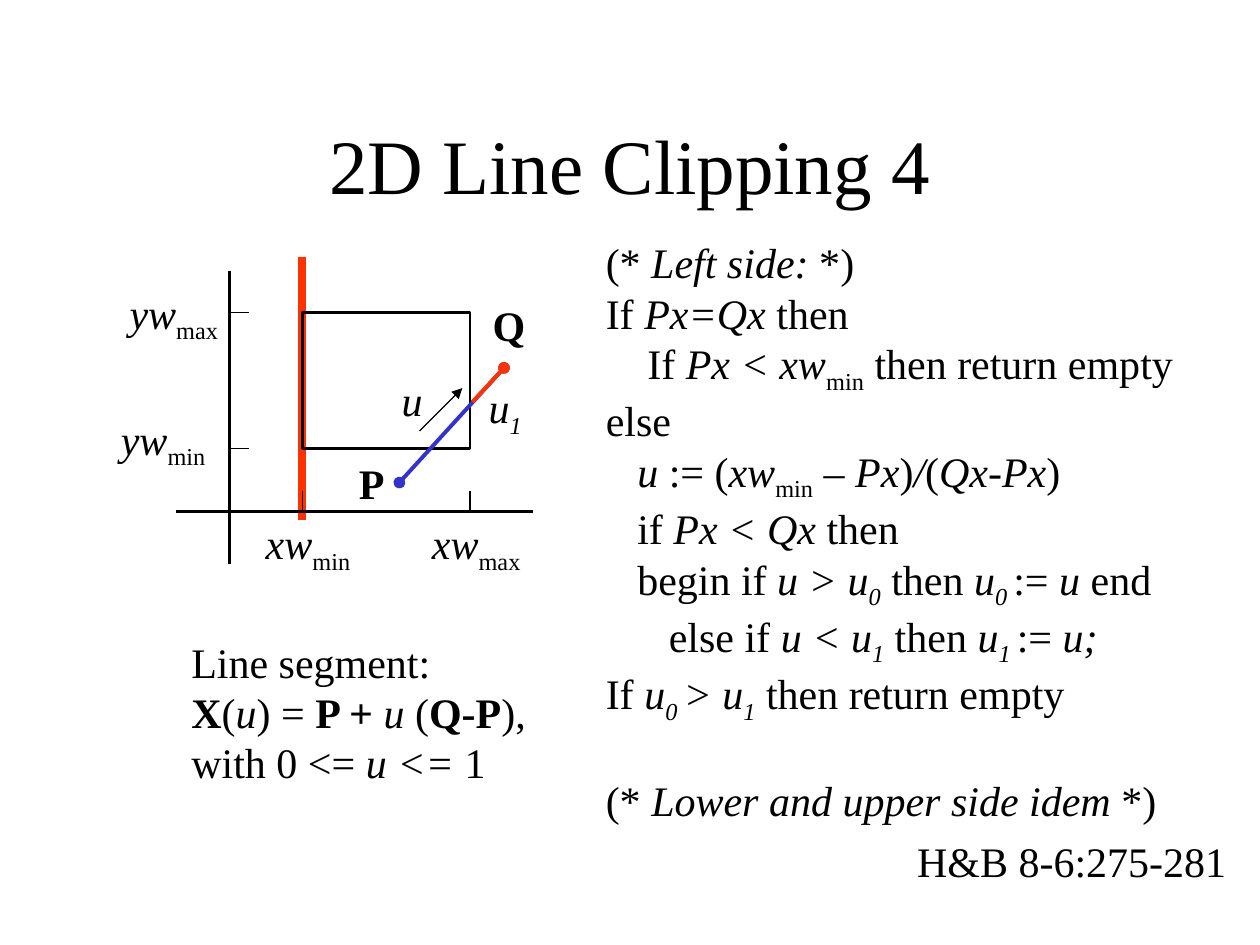
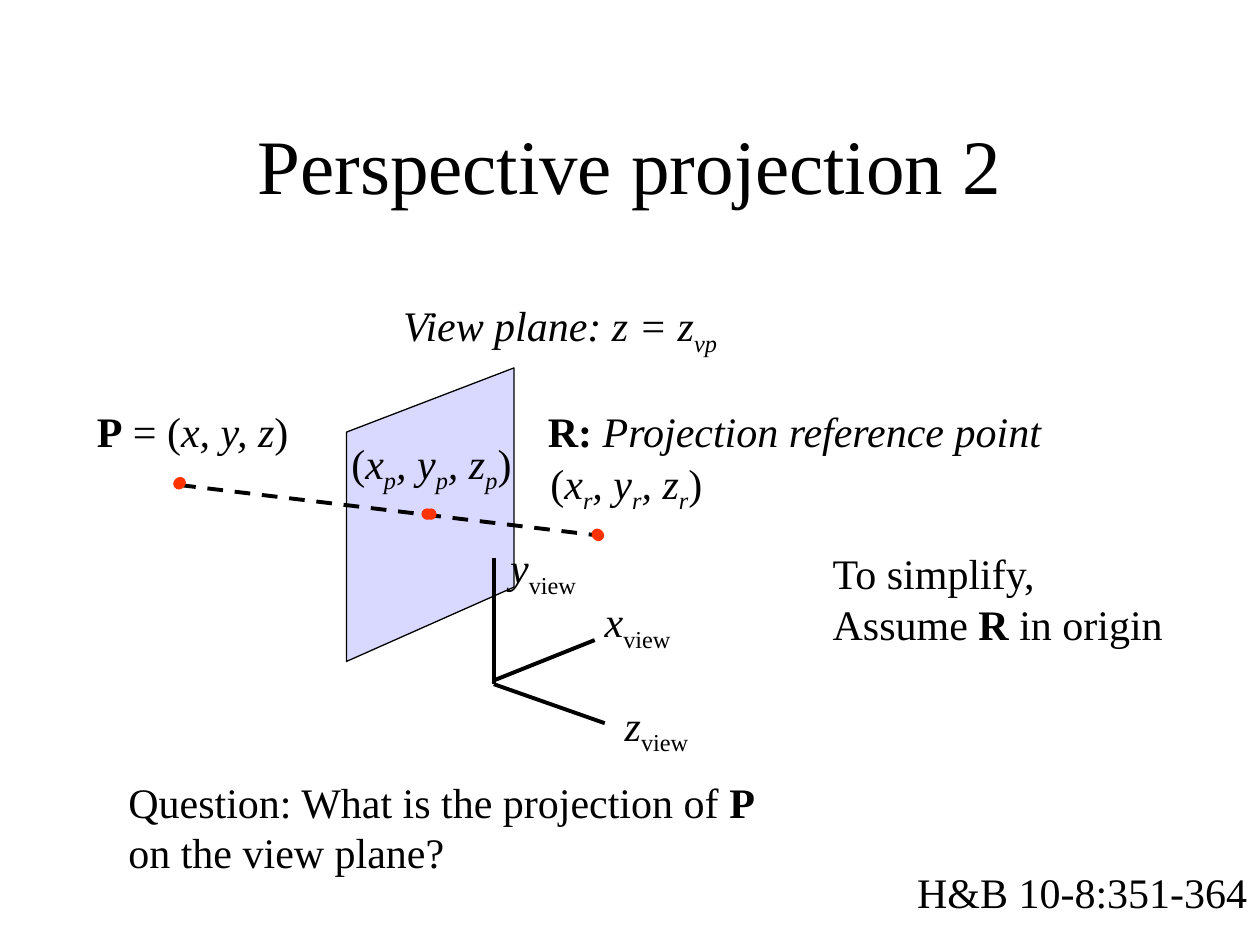
from lxml import etree
from pptx import Presentation
from pptx.dml.color import RGBColor
from pptx.enum.dml import MSO_LINE_DASH_STYLE as Dash
from pptx.enum.shapes import MSO_CONNECTOR as Connector, MSO_SHAPE as Shape
from pptx.enum.text import MSO_ANCHOR as Anchor, PP_ALIGN as Align
from pptx.oxml.ns import qn
from pptx.util import Inches, Pt

COLORS = {"ink": "000000", "red": "FF3300", "blue": "3333CC", "plane": "D9D9FF"}
FONT = "Times New Roman"
TITLE_BOX = (0.75, 0.67, 8.5, 1.25)
LINE_HEIGHT, SUBSCRIPT_EXTRA, INSET = 0.4, 0.06, 0.05
DOT = 0.08


# Text styles: a plain string is regular, a pair is (text, style letters)
def i(text):
    return text, "i"


def b(text):
    return text, "b"


def sub(text):
    return text, "s"


def isub(text):
    return text, "is"


def triple(index):
    return ["(", i("x"), isub(index), i(", y"), isub(index), i(", z"), isub(index), ")"]


# Slide 1 content: window limits and end points in slide inches
X_MIN, X_MAX, Y_MAX, Y_MIN = 2.4, 3.73, 2.48, 3.56
AXIS_X, AXIS_Y, TICK = 1.82, 4.06, 0.16
P, Q, EXIT = (3.17, 3.83), (4, 2.92), (3.75, 3.19)

# Each pseudocode line: indent in inches, space before in points, runs
PSEUDOCODE = [
    (0, 0, ["(*", i(" Left side: "), "*)"]),
    (0, 0, ["If ", i("Px=Qx "), "then"]),
    (0.33, 0, ["If", i(" Px < xw"), sub("min"), " then return empty"]),
    (0, 0, ["else"]),
    (0.25, 0, [i("u "), ":= (", i("xw"), sub("min"), i(" – Px"), ")", i("/"), "(",
               i("Qx-Px"), ")"]),
    (0.25, 0, ["if ", i("Px < Qx "), "then"]),
    (0.25, 0, ["begin if", i(" u > u"), isub("0"), " then ", i("u"), isub("0 "), ":= ",
               i("u "), "end"]),
    (0.5, 0, ["else if ", i("u < u"), isub("1"), " then ", i("u"), isub("1 "), ":= ", i("u;")]),
    (0, 0, ["If ", i("u"), isub("0 "), i("> u"), isub("1"), " then return empty"]),
    (0, 28, ["(* ", i("Lower and upper side idem "), "*)"]),
]
SEGMENT_NOTE = [
    ["Line segment:"],
    [b("X"), "(", i("u"), ") = ", b("P + "), i("u"), " (", b("Q-P"), "),"],
    ["with 0 <= ", i("u <= "), "1"],
]

# Labels: left, top, width, runs
CLIPPING_LABELS = [
    (2.01, 4.06, 0.87, [i("xw"), sub("min")]),
    (3.33, 4.06, 0.9, [i("xw"), sub("max")]),
    (0.93, 2.23, 0.9, [i("yw"), sub("max")]),
    (0.86, 3.23, 0.87, [i("yw"), sub("min")]),
    (2.75, 3.58, 0.4, [b("P")]),
    (3.81, 2.33, 0.46, [b("Q")]),
    (3.09, 2.92, 0.36, [i("u")]),
    (3.78, 2.98, 0.46, [i("u"), isub("1")]),
]

# Slide 2 content
VIEW_PLANE = [(2.75, 5.25), (4.08, 4.66), (4.08, 2.92), (2.75, 3.43)]
VIEW_AXES = [((3.92, 5.43), (4.8, 5.74)), ((3.92, 5.43), (3.92, 4.43)), ((3.92, 5.4), (4.72, 5.08))]
RAY = ((1.43, 3.85), (4.75, 4.25))
DOT_CENTERS = [(4.75, 4.25), (3.42, 4.08), (1.42, 3.84), (4.74, 4.24), (3.39, 4.08), (1.43, 3.83)]
PROJECTION_LABELS = [
    (0.67, 3.17, 1.74, [[b("P"), " = (", i("x, y, z"), ")"]]),
    (4.25, 3.17, 4.15, [[b("R: "), i("Projection reference point")]]),
    (4.86, 5.5, 0.7, [[i("z"), sub("view")]]),
    (4.7, 4.68, 0.72, [[i("x"), sub("view")]]),
    (3.95, 4.25, 0.72, [[i("y"), sub("view")]]),
    (4.27, 3.58, 1.4, [triple("r")]),
    (2.69, 3.42, 1.47, [triple("p")]),
    (6.51, 4.3, 2.82, [["To simplify,"], ["Assume", b(" R "), "in origin"]]),
    (3.1, 2.33, 2.72, [[i("View plane: z = z"), isub("vp")]]),
    (0.92, 6.11, 5.18, [["Question: What is the projection of ", b("P")],
                        ["on the view plane?"]]),
]


# Shared drawing helpers
def color(name):
    return RGBColor.from_string(COLORS[name])


def add_runs(paragraph, runs, size):
    for item in runs:
        text, style = (item, "") if isinstance(item, str) else item
        run = paragraph.add_run()
        run.text = text
        font_format = {"name": FONT, "size": Pt(size), "bold": "b" in style, "italic": "i" in style}
        for attribute, value in font_format.items():
            setattr(run.font, attribute, value)
        run.font.color.rgb = color("ink")
        if "s" in style:
            run.font._element.set("baseline", "-25000")


def add_text(slide, left, top, width, lines, align=Align.LEFT):
    """Place lines given either as runs or as (indent, space before, runs)."""
    lines = [line if isinstance(line, tuple) else (0, 0, line) for line in lines]
    height = 2 * INSET
    for _, gap, runs in lines:
        has_subscript = any(isinstance(item, tuple) and "s" in item[1] for item in runs)
        height += LINE_HEIGHT + gap / 72 + SUBSCRIPT_EXTRA * has_subscript
    box = slide.shapes.add_textbox(*map(Inches, (left, top, width, height)))
    frame = box.text_frame
    # Zero right inset leaves slack, so tight labels stay on one line
    frame_format = {"word_wrap": True, "margin_right": 0,
                    "margin_left": 0 if align == Align.CENTER else Inches(0.1)}
    for attribute, value in frame_format.items():
        setattr(frame, attribute, value)
    for number, (indent, gap, runs) in enumerate(lines):
        paragraph = frame.add_paragraph() if number else frame.paragraphs[0]
        paragraph.alignment = align
        if gap:
            paragraph.space_before = Pt(gap)
        if indent:
            paragraph._p.get_or_add_pPr().set("marL", str(Inches(indent)))
        add_runs(paragraph, runs, 24)


def add_line(slide, start, end, width, name="ink", head=None, tail=None, dash=None):
    line = slide.shapes.add_connector(Connector.STRAIGHT, *map(Inches, (*start, *end)))
    line.line.color.rgb = color(name)
    line.line.width = Pt(width)
    if dash:
        line.line.dash_style = dash
    outline = line.line._get_or_add_ln()
    for tag, kind in (("a:headEnd", head), ("a:tailEnd", tail)):
        if kind:
            etree.SubElement(outline, qn(tag), type=kind)
    etree.SubElement(line._element.spPr, qn("a:effectLst"))


def style_shape(shape, fill, outline, width):
    shape.shadow.inherit = False
    if fill:
        shape.fill.solid()
        shape.fill.fore_color.rgb = color(fill)
    else:
        shape.fill.background()
    shape.line.color.rgb = color(outline)
    shape.line.width = Pt(width)


def new_slide(presentation, title, reference, reference_top, reference_width):
    slide = presentation.slides.add_slide(presentation.slide_layouts[6])
    frame = slide.shapes.add_textbox(*map(Inches, TITLE_BOX)).text_frame
    frame.word_wrap = True
    frame.vertical_anchor = Anchor.MIDDLE
    frame.paragraphs[0].alignment = Align.CENTER
    add_runs(frame.paragraphs[0], [title], 44)
    add_text(slide, 7.18, reference_top, reference_width, [[reference]])
    return slide


def build_clipping(presentation):
    slide = new_slide(presentation, "2D Line Clipping 4", "H&B 8-6:275-281", 6.58, 2.65)
    # Highlighted left edge, axes and ticks
    add_line(slide, (X_MIN, 2.04), (X_MIN, 4.13), 4.5, "red")
    add_line(slide, (1.4, AXIS_Y), (4.23, AXIS_Y), 1.5)
    add_line(slide, (AXIS_X, 4.48), (AXIS_X, 2.15), 1.5)
    for x in (X_MIN, X_MAX):
        add_line(slide, (x, AXIS_Y - TICK), (x, AXIS_Y), 0.75)
    for y in (Y_MIN, Y_MAX):
        add_line(slide, (AXIS_X, y), (AXIS_X + TICK, y), 0.75)
    # Clipping window and segment
    window = slide.shapes.add_shape(
        Shape.RECTANGLE, *map(Inches, (X_MIN, Y_MAX, X_MAX - X_MIN, Y_MIN - Y_MAX)))
    style_shape(window, None, "ink", 1.5)
    add_line(slide, (3.33, 3.42), (3.67, 3.08), 0.75, tail="triangle")
    add_line(slide, P, Q, 2.25, "blue", head="oval", tail="oval")
    add_line(slide, EXIT, Q, 2.25, "red", tail="oval")
    # Labels and algorithm
    for left, top, width, runs in CLIPPING_LABELS:
        add_text(slide, left, top, width, [runs], Align.CENTER)
    add_text(slide, 4.71, 1.83, 4.7, PSEUDOCODE)
    add_text(slide, 1.42, 5, 2.95, SEGMENT_NOTE)


def build_projection(presentation):
    slide = new_slide(presentation, "Perspective projection 2", "H&B 10-8:351-364", 6.83, 2.82)
    # View plane
    corners = [tuple(map(Inches, corner)) for corner in VIEW_PLANE]
    builder = slide.shapes.build_freeform(*corners[0])
    builder.add_line_segments(corners[1:], close=True)
    style_shape(builder.convert_to_shape(), "plane", "ink", 0.75)
    # Projection ray and view axes
    add_line(slide, *RAY, 2.25, dash=Dash.DASH)
    for start, end in VIEW_AXES:
        add_line(slide, start, end, 2.25)
    # Points on the ray
    for x, y in DOT_CENTERS:
        dot = slide.shapes.add_shape(
            Shape.OVAL, *map(Inches, (x - DOT / 2, y - DOT / 2, DOT, DOT)))
        style_shape(dot, "red", "red", 0.75)
    for label in PROJECTION_LABELS:
        add_text(slide, *label)


def main():
    presentation = Presentation()
    presentation.slide_width, presentation.slide_height = Inches(10), Inches(7.5)
    build_clipping(presentation)
    build_projection(presentation)
    presentation.save("out.pptx")


if __name__ == "__main__":
    main()
